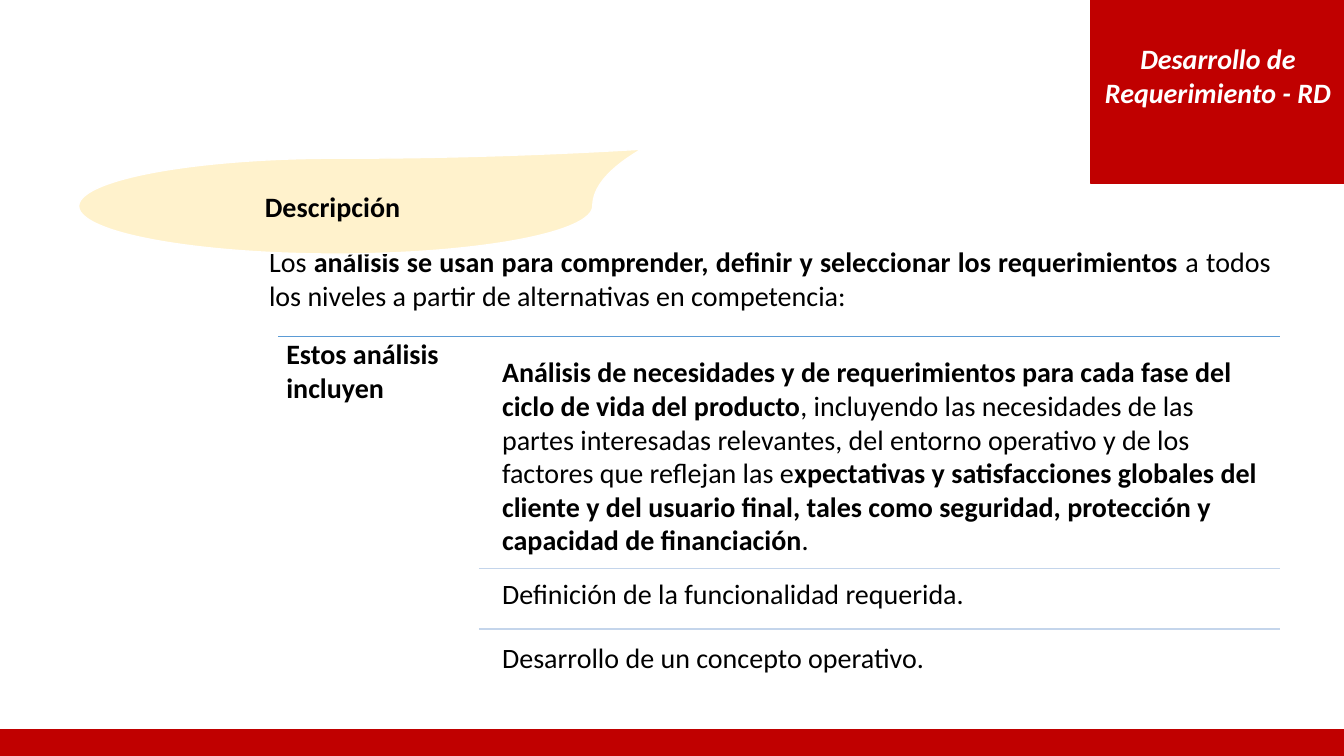
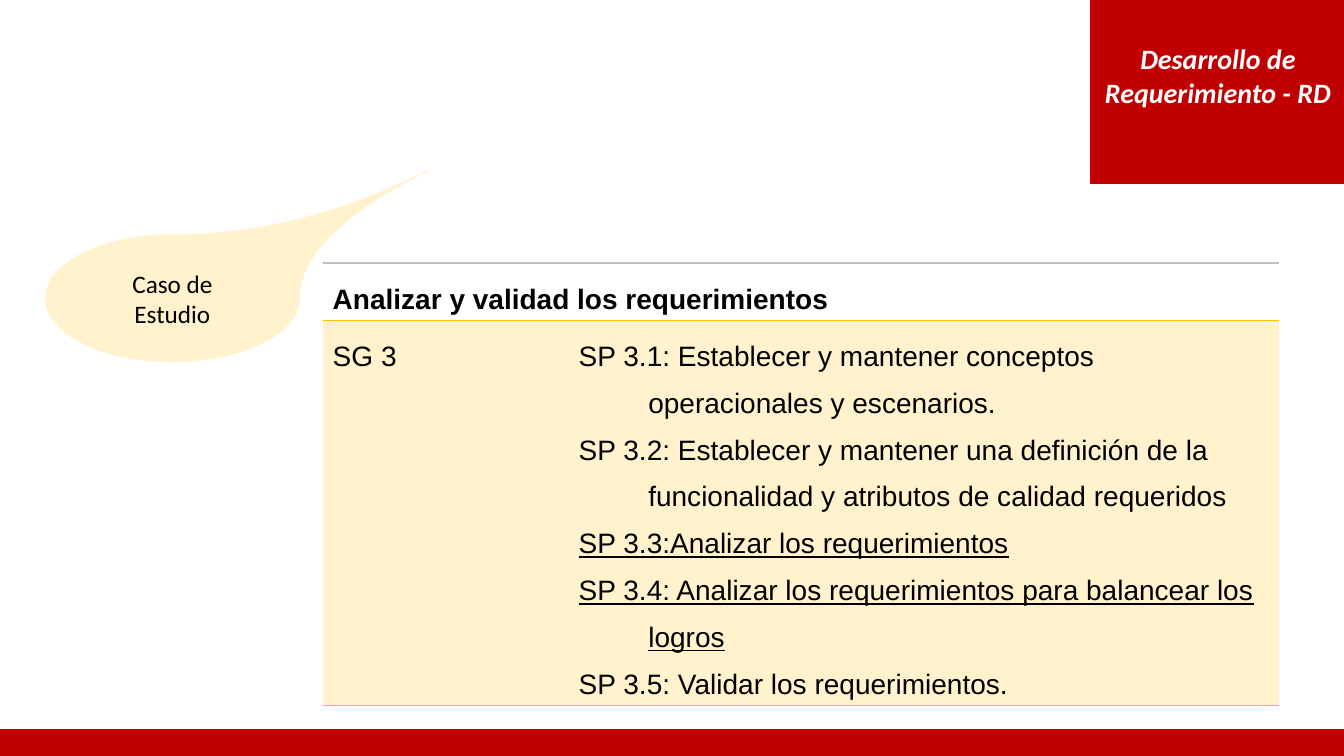
from pptx import Presentation
from pptx.dml.color import RGBColor
from pptx.enum import dml, shapes, text
from pptx.oxml import parse_xml
from pptx.oxml.ns import nsdecls
from pptx.util import Inches, Pt

HUES = {"red": "C00000", "cream": "FFF2CC", "gold": "FFC000", "grey": "BFBFBF",
        "blue": "5B9BD5", "pale": "C4D5EB", "white": "FFFFFF", "black": "000000"}
PLAIN = "{2D5ABB26-0587-4C30-8999-92F81FD0307C}"
ALIGN = text.PP_ALIGN
FORM = shapes.MSO_SHAPE

INTRO = ("Los **análisis se usan para comprender, definir y seleccionar los "
         "requerimientos **a todos los niveles a partir de alternativas en competencia:")
NEEDS = ("**Análisis de necesidades y de requerimientos para cada fase del ciclo de "
         "vida del producto**, incluyendo las necesidades de las partes interesadas "
         "relevantes, del entorno operativo y de los factores que reflejan las "
         "e**xpectativas y satisfacciones globales del cliente y del usuario final, "
         "tales como seguridad, protección y capacidad de financiación**.")
GOALS = [
    ("SP 3.1: Establecer y mantener conceptos operacionales y escenarios.", False),
    ("SP 3.2: Establecer y mantener una definición de la funcionalidad y "
     "atributos de calidad requeridos", False),
    ("SP 3.3:Analizar los requerimientos", True),
    ("SP 3.4: Analizar los requerimientos para balancear los logros", True),
    ("SP 3.5: Validar los requerimientos.", False),
]


def hue(name):
    return RGBColor.from_string(HUES[name])


def style(para, size=20, face="Calibri", color="black"):
    font = para.font
    font.size, font.name = Pt(size), face
    font.color.rgb = hue(color)
    return font


def write(para, words):
    """Add runs; text between ** marks is bold."""
    for i, part in enumerate(words.split("**")):
        if part:
            run = para.add_run()
            run.text = part
            if i % 2:
                run.font.bold = True


def block(slide, form, box, fill, line=None):
    shape = slide.shapes.add_shape(form, *map(Inches, box))
    shape.shadow.inherit = False
    shape.fill.solid()
    shape.fill.fore_color.rgb = hue(fill)
    shape.line.color.rgb = hue(line or fill)
    shape.line.width = Pt(1)
    return shape


def label(shape, words, align=ALIGN.CENTER, **kind):
    frame = shape.text_frame
    frame.word_wrap = True
    para = frame.paragraphs[0]
    para.alignment = align
    style(para, **kind)
    write(para, words)
    return frame


def note(slide, box, words):
    shape = slide.shapes.add_textbox(*map(Inches, box))
    frame = label(shape, words, ALIGN.LEFT)
    frame.margin_left = frame.margin_right = Inches(0.08)
    frame.margin_top = frame.margin_bottom = Inches(0.08)


def rule(slide, left, y, color):
    line = slide.shapes.add_connector(
        shapes.MSO_CONNECTOR.STRAIGHT, Inches(left), Inches(y), Inches(12.7), Inches(y))
    line.line.color.rgb = hue(color)
    line.line.width = Pt(1)
    line._element.spPr.append(parse_xml(f"<a:effectLst {nsdecls('a')}/>"))


def drop(slide, box, reach, words, line, size=20):
    shape = block(slide, FORM.TEAR, box, "cream", line)
    shape.adjustments[0] = reach
    label(shape, words, size=size).vertical_anchor = text.MSO_ANCHOR.MIDDLE
    return shape


def frame(slide):
    """Corner title and foot band."""
    corner = block(slide, FORM.RECTANGLE, (10.82, 0, 2.52, 1.82), "red")
    title = label(corner, "Desarrollo de Requerimiento - RD", color="white")
    title.vertical_anchor = text.MSO_ANCHOR.MIDDLE
    title.margin_bottom = Inches(0.38)
    font = title.paragraphs[0].font
    font.bold = font.italic = True
    block(slide, FORM.RECTANGLE, (0, 7.24, 13.33, 0.26), "red")


def edge(cell, top, base):
    """Draw the upper and lower borders of a cell."""
    props = cell._tc.get_or_add_tcPr()
    for i, (side, color) in enumerate((("lnT", top), ("lnB", base))):
        props.insert(i, parse_xml(
            f'<a:{side} {nsdecls("a")} w="12700"><a:solidFill>'
            f'<a:srgbClr val="{HUES[color]}"/></a:solidFill></a:{side}>'))


def fill(cell, items):
    for i, (words, under) in enumerate(items):
        para = cell.text_frame.add_paragraph() if i else cell.text_frame.paragraphs[0]
        para.line_spacing = 1.5
        style(para, face="Arial").underline = under
        write(para, words)


def grid(slide):
    part = slide.shapes.add_table(2, 2, *map(Inches, (3.2, 2.61, 9.49, 4.38)))
    table = part.table
    table._tbl.tblPr.find("{*}tableStyleId").text = PLAIN
    table.first_row = table.horz_banding = False
    for col, wide in zip(table.columns, (2.44, 7.05)):
        col.width = Inches(wide)
    for row, high in zip(table.rows, (0.57, 3.81)):
        row.height = Inches(high)
    table.cell(0, 0).merge(table.cell(0, 1))
    for col in range(2):
        head, body = table.cell(0, col), table.cell(1, col)
        head.fill.background()
        body.fill.solid()
        body.fill.fore_color.rgb = hue("cream")
        edge(head, "grey", "gold")
        edge(body, "gold", "gold")
    fill(table.cell(0, 0), [("**Analizar y validad los requerimientos**", False)])
    fill(table.cell(1, 0), [("SG 3", False)])
    goals = table.cell(1, 1)
    fill(goals, GOALS)
    for para in goals.text_frame.paragraphs:
        props = para._p.get_or_add_pPr()
        props.set("marL", str(Inches(0.69)))
        props.set("indent", str(-Inches(0.69)))


def scope(slide):
    intro = block(slide, FORM.RECTANGLE, (2.57, 2.38, 10.13, 0.71), "white")
    label(intro, INTRO, ALIGN.JUSTIFY).vertical_anchor = text.MSO_ANCHOR.TOP
    rule(slide, 2.76, 3.34, "blue")
    note(slide, (2.76, 3.26, 1.99, 3.62), "**Estos análisis incluyen**")
    for y, high, words in ((3.44, 1.43, NEEDS),
                           (5.64, 0.41, "Definición de la funcionalidad requerida."),
                           (6.27, 0.59, "Desarrollo de un concepto operativo.")):
        note(slide, (4.9, y, 7.8, high), words)
    for y in (5.64, 6.24):
        rule(slide, 4.75, y, "pale")
    frame(slide)
    drop(slide, (0.78, 1.57, 5.1, 0.95), 1.19, "**Descripción **", "white")


def case(slide):
    shape = drop(slide, (0.45, 2.33, 2.52, 1.26), 2, "Caso de Estudio", "cream", 18)
    shape.line.dash_style = dml.MSO_LINE.ROUND_DOT
    grid(slide)
    frame(slide)


def main():
    deck = Presentation()
    deck.slide_width, deck.slide_height = Inches(13.33), Inches(7.5)
    for build in (scope, case):
        build(deck.slides.add_slide(deck.slide_layouts[6]))
    deck.save("out.pptx")


if __name__ == "__main__":
    main()
